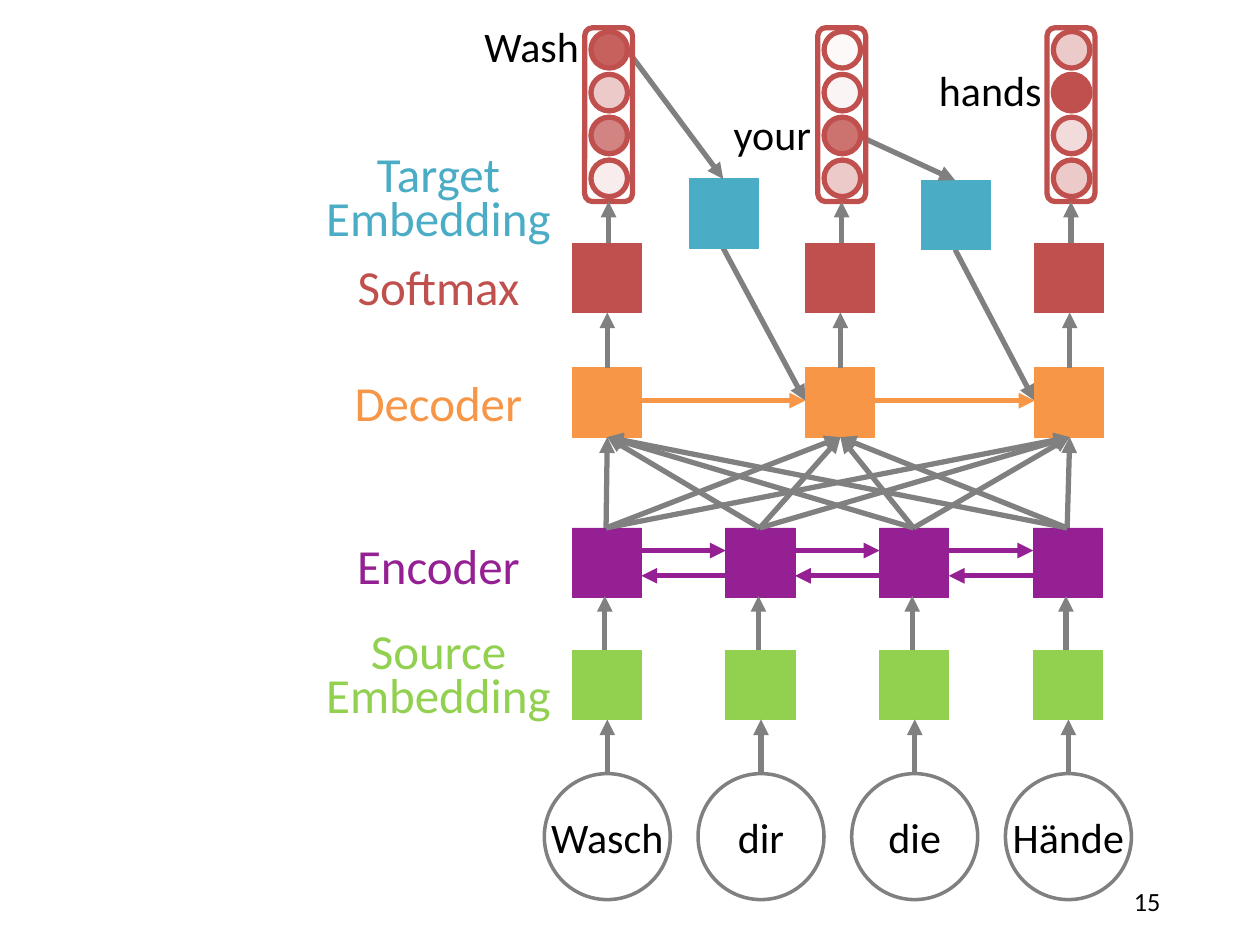
from dataclasses import dataclass
from itertools import pairwise, product

from lxml import etree
from pptx import Presentation
from pptx.dml.color import RGBColor
from pptx.enum.shapes import MSO_CONNECTOR, MSO_SHAPE
from pptx.enum.text import MSO_ANCHOR, PP_ALIGN
from pptx.oxml.ns import qn
from pptx.util import Emu, Pt

RECTANGLE, ROUNDED, OVAL = MSO_SHAPE.RECTANGLE, MSO_SHAPE.ROUNDED_RECTANGLE, MSO_SHAPE.OVAL
STRAIGHT = MSO_CONNECTOR.STRAIGHT
MIDDLE, CENTER, RIGHT = MSO_ANCHOR.MIDDLE, PP_ALIGN.CENTER, PP_ALIGN.RIGHT
EMU_PER_PX = 9144
SQUARE = 55


@dataclass(frozen=True)
class Theme:
    """Colours, font and type sizes of the slide."""
    font: str = "Calibri"
    target: str = "4BACC6"
    softmax: str = "C0504D"
    pale: str = "D99694"
    decoder: str = "F79646"
    encoder: str = "942093"
    source: str = "92D050"
    arrow: str = "808080"
    text: str = "000000"
    label_size: int = 28
    label_leading: int = 25
    word_size: int = 24
    number_size: int = 15


@dataclass(frozen=True)
class Box:
    """A rectangle in px."""
    left: int
    top: int
    width: int
    height: int

    def emu(self):
        """Return the four lengths in EMU."""
        return [px(value) for value in (self.left, self.top, self.width, self.height)]


THEME = Theme()


def px(value):
    """Turn px into EMU."""
    return Emu(round(value * EMU_PER_PX))


def apply_format(target, values):
    """Set each named attribute of the target."""
    for name, value in values.items():
        setattr(target, name, value)


def write_text(shape, lines, size, color=THEME.text, align=CENTER, wrap=False, leading=None):
    """Write one paragraph for each line, without margins."""
    frame = shape.text_frame
    apply_format(frame, {
        "word_wrap": wrap, "vertical_anchor": MIDDLE, "margin_left": 0,
        "margin_right": 0, "margin_top": 0, "margin_bottom": 0})
    for index, line in enumerate(lines):
        paragraph = frame.add_paragraph() if index else frame.paragraphs[0]
        paragraph.text = line
        apply_format(paragraph, {"alignment": align, "line_spacing": leading})
        apply_format(paragraph.font, {"name": THEME.font, "size": Pt(size)})
        paragraph.font.color.rgb = RGBColor.from_string(color)


def add_text(slide, box, lines, size, **options):
    """Add a text box."""
    write_text(slide.shapes.add_textbox(*box.emu()), lines, size, **options)


def add_shape(slide, kind, box, line, width, fill=None, opacity=100):
    """Add an outlined shape with an optional, partly clear fill."""
    shape = slide.shapes.add_shape(kind, *box.emu())
    shape.shadow.inherit = False
    shape.line.color.rgb = RGBColor.from_string(line)
    shape.line.width = Pt(width)
    if fill is None:
        shape.fill.background()
        return shape
    shape.fill.solid()
    shape.fill.fore_color.rgb = RGBColor.from_string(fill)
    if opacity < 100:
        color = shape.fill._xPr.find(qn("a:solidFill"))[0]
        etree.SubElement(color, qn("a:alpha"), val=str(opacity * 1000))
    return shape


def add_square(slide, left, top, color):
    """Add a network cell."""
    add_shape(slide, RECTANGLE, Box(left, top, SQUARE, SQUARE), color, 0.5, color)


def add_arrow(slide, start, end, color=THEME.arrow):
    """Add a straight arrow between two points."""
    connector = slide.shapes.add_connector(STRAIGHT, *map(px, (*start, *end)))
    connector.line.color.rgb = RGBColor.from_string(color)
    connector.line.width = Pt(3)
    properties = connector._element.spPr
    etree.SubElement(properties.find(qn("a:ln")), qn("a:tailEnd"), type="triangle")
    etree.SubElement(properties, qn("a:effectLst"))


def draw_source_column(slide, box, word):
    """Draw a source word, its embedding and its encoder cell."""
    left, middle = box.left + 22, box.left + box.width // 2
    embedding, circle = box.top + 97, box.top + box.height - box.width
    add_square(slide, left, embedding, THEME.source)
    add_square(slide, left, box.top, THEME.encoder)
    shape = add_shape(slide, OVAL, Box(box.left, circle, box.width, box.width), THEME.arrow, 2)
    write_text(shape, [word], THEME.word_size)
    add_arrow(slide, (middle, circle), (middle, embedding + SQUARE))
    add_arrow(slide, (middle - 2, embedding), (middle - 2, box.top + SQUARE - 1))


def draw_distribution(slide, box, fills):
    """Draw the output units, shaded by probability."""
    add_shape(slide, ROUNDED, box, THEME.softmax, 3)
    for index, (color, opacity) in enumerate(fills):
        unit = Box(box.left + 5, box.top + 3 + 34 * index, 29, 29)
        add_shape(slide, OVAL, unit, THEME.softmax, 3, color, opacity)


def draw_output_column(slide, box, fills):
    """Draw a decoder cell, its softmax and its output distribution."""
    middle = box.left + 28
    decoder, softmax = box.top + box.height - SQUARE, box.top + 171
    add_square(slide, box.left, softmax, THEME.softmax)
    add_square(slide, box.left, decoder, THEME.decoder)
    add_arrow(slide, (middle, decoder), (middle, softmax + SQUARE))
    draw_distribution(slide, Box(middle - 18, box.top, 38, 138), fills)
    add_arrow(slide, (middle + 1, softmax), (middle + 1, box.top + 138))


def draw_feedback(slide, box, chosen):
    """Draw the embedding of a chosen unit on its way to the next decoder cell."""
    middle = box.left + 27
    add_arrow(slide, (middle, box.top + SQUARE), (box.left + box.width, box.top + box.height))
    add_square(slide, box.left, box.top, THEME.target)
    add_arrow(slide, chosen, (middle, box.top))


def draw_recurrence(slide, box):
    """Draw the two encoder arrows between neighbouring cells."""
    right, bottom = box.left + box.width, box.top + box.height
    add_arrow(slide, (box.left, box.top), (right, box.top), THEME.encoder)
    add_arrow(slide, (right, bottom), (box.left, bottom), THEME.encoder)


def draw_attention(slide, box, source_centers, output_centers):
    """Join each encoder cell to each decoder cell."""
    for source, output in product(source_centers, output_centers):
        add_arrow(slide, (box.left + source, box.top + box.height), (box.left + output, box.top))


def draw_label(slide, box, lines, color):
    """Draw the name of a network layer."""
    leading = Pt(THEME.label_leading) if len(lines) > 1 else None
    add_text(slide, box, lines, THEME.label_size, color=color, wrap=True, leading=leading)


def main():
    """Build the slide and save it."""
    presentation = Presentation()
    presentation.slide_width, presentation.slide_height = px(1000), px(750)
    slide = presentation.slides.add_slide(presentation.slide_layouts[6])

    draw_feedback(slide, Box(547, 142, 92, 176), (498, 40))
    draw_feedback(slide, Box(731, 143, 90, 175), (682, 108))

    sources = [432 + 122 * index for index in range(4)]
    for left, word in zip(sources, ("Wasch", "dir", "die", "Hände")):
        draw_source_column(slide, Box(left, 419, 100, 295), word)
    for left, _ in pairwise(sources):
        draw_recurrence(slide, Box(left + 77, 437, 67, 20))

    red, pale = THEME.softmax, THEME.pale
    distributions = (
        ((red, 90), (red, 30), (red, 70), (red, 10)),
        ((pale, 5), (pale, 10), (red, 80), (red, 30)),
        ((red, 30), (red, 100), (red, 20), (red, 30)))
    outputs = (454, 639, 821)
    for left, fills in zip(outputs, distributions):
        draw_output_column(slide, Box(left, 22, SQUARE, 325), fills)
    for left, right in pairwise(outputs):
        add_arrow(slide, (left + SQUARE, 318), (right, 318), THEME.decoder)
    draw_attention(slide, Box(454, 347, 422, 72), [27 + 122 * index for index in range(4)],
                   [left - 426 for left in outputs])

    labels = (
        (161, ["Target", "Embedding"], THEME.target), (227, ["Softmax"], THEME.softmax),
        (319, ["Decoder"], THEME.decoder), (448, ["Encoder"], THEME.encoder),
        (539, ["Source", "Embedding"], THEME.source))
    for middle, lines, color in labels:
        draw_label(slide, Box(198, middle - 50, 300, 100), lines, color)
    for middle, top, word in ((422, 11, "Wash"), (613, 81, "your"), (786, 46, "hands")):
        add_text(slide, Box(middle - 50, top, 100, 50), [word], THEME.word_size)
    add_text(slide, Box(706, 695, 215, 40), ["15"], THEME.number_size, align=RIGHT, wrap=True)
    presentation.save("out.pptx")


if __name__ == "__main__":
    main()
